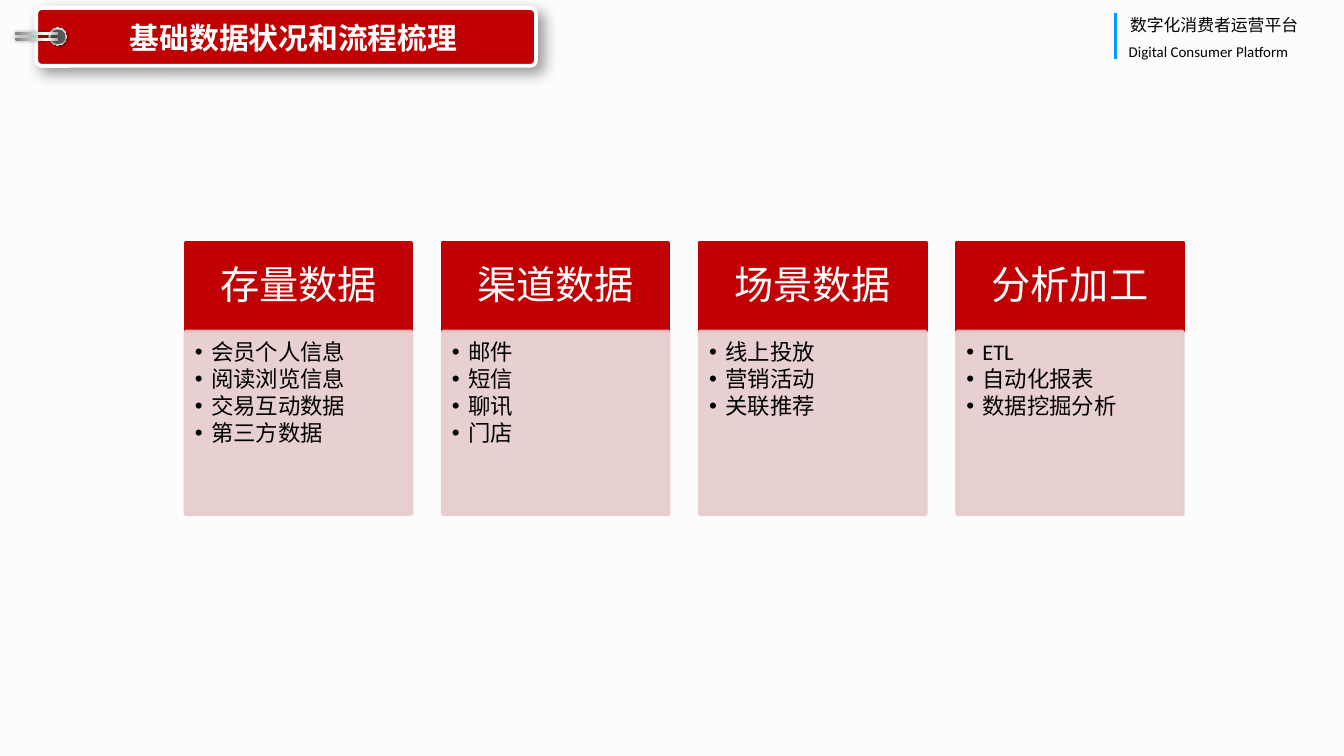
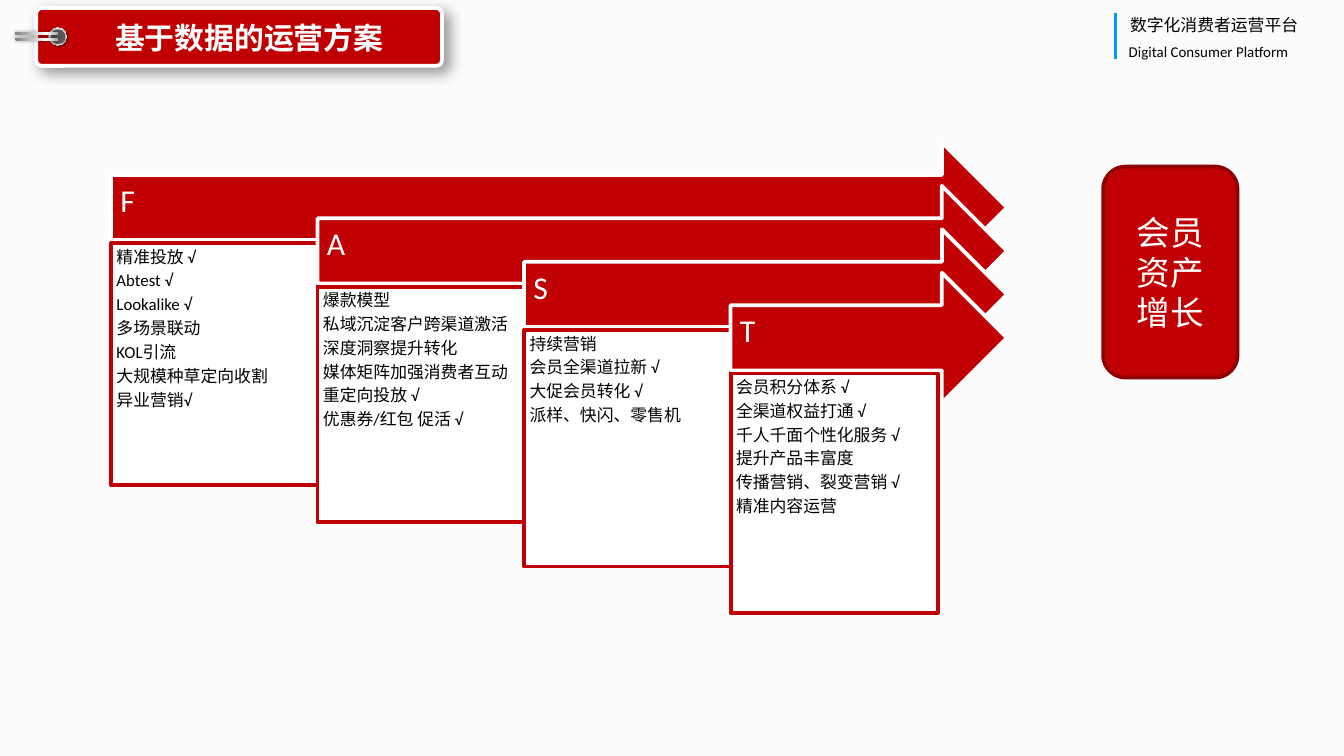
from dataclasses import dataclass
from typing import Optional

from lxml import etree
from pptx import Presentation
from pptx.dml.color import RGBColor
from pptx.enum import shapes, text
from pptx.oxml.ns import qn
from pptx.util import Pt

HEX = {
    "back": "FCFCFC", "banner": "C00000", "red": "C00002", "deep": "8E0001",
    "pink": "E8CCCC", "white": "FFFFFF", "black": "000000", "blue": "0099FF",
    "hole": "595959",
}
SANS, CJK = "Calibri", "Noto Sans CJK SC"
RING = [(0, "FFFFFF"), (17, "A6A6A6"), (35, "F2F2F2"), (55, "A6A6A6"),
        (75, "F2F2F2"), (100, "A6A6A6")]
STEEL = [(0, "808080"), (23, "A6A6A6"), (52, "D9D9D9"), (74, "FFFFFF"),
         (100, "A6A6A6")]
KIND = shapes.MSO_SHAPE
MID, TOP = text.MSO_ANCHOR.MIDDLE, text.MSO_ANCHOR.TOP
LEFT, CENTER = text.PP_ALIGN.LEFT, text.PP_ALIGN.CENTER


@dataclass
class Box:
    x: float
    y: float
    w: float
    h: float

    def pts(self) -> tuple:
        return Pt(self.x), Pt(self.y), Pt(self.w), Pt(self.h)


@dataclass
class Style:
    size: float
    color: str = "black"
    font: str = SANS
    bold: bool = False
    align: int = LEFT
    anchor: int = TOP
    pad: tuple = (7.2, 3.6, 7.2, 3.6)
    line: float = 1
    after: float = 0
    bullet: bool = False


@dataclass
class Group:
    head: str
    items: list
    high: float = 97.92


TITLE = Style(16, "white", CJK, True, CENTER, MID, (5, 2.9, 5, 2.9))
HEAD = Style(21, "white", align=CENTER, anchor=MID, pad=(11.5, 6.5, 11.5, 6.5), line=0.9)
LIST = Style(12, pad=(5, 5, 6.5, 7.2), line=0.9, after=1.5, bullet=True)
STEP = Style(17, "white", anchor=MID, pad=(5, 5, 20, 10.8), line=0.9)
NOTE = Style(9, pad=(2.9, 2.9, 2.9, 2.9), line=0.9, after=3)
GOAL = Style(18, "white", align=CENTER, anchor=MID)

DATA = [
    Group("存量数据", ["会员个人信息", "阅读浏览信息", "交易互动数据", "第三方数据"]),
    Group("渠道数据", ["邮件", "短信", "聊讯", "门店"]),
    Group("场景数据", ["线上投放", "营销活动", "关联推荐"]),
    Group("分析加工", ["ETL", "自动化报表", "数据挖掘分析"]),
]
FAST = [
    Group("F", ["精准投放 √", "Abtest √", "Lookalike √", "多场景联动", "KOL引流",
                "大规模种草定向收割", "异业营销√"], 129.6),
    Group("A", ["爆款模型", "私域沉淀客户跨渠道激活", "深度洞察提升转化",
                "媒体矩阵加强消费者互动", "重定向投放 √", "优惠券/红包 促活 √"], 126),
    Group("S", ["持续营销", "会员全渠道拉新 √", "大促会员转化 √", "派样、快闪、零售机"], 126.7),
    Group("T", ["会员积分体系 √", "全渠道权益打通 √", "千人千面个性化服务 √",
                "提升产品丰富度", "传播营销、裂变营销 √", "精准内容运营"], 128.2),
]


def rgb(name: str) -> RGBColor:
    return RGBColor.from_string(HEX[name])


def node(up, tag: str, **attrs):
    return etree.SubElement(up, qn(tag), {k: str(v) for k, v in attrs.items()})


def write(shape, lines: list, style: Style) -> None:
    frame = shape.text_frame
    frame.text = "\n".join(lines)
    frame.word_wrap = True
    frame.auto_size = text.MSO_AUTO_SIZE.NONE
    frame.vertical_anchor = style.anchor
    (frame.margin_left, frame.margin_top,
     frame.margin_right, frame.margin_bottom) = map(Pt, style.pad)
    for par in frame.paragraphs:
        par.alignment = style.align
        par.line_spacing = style.line
        par.space_before, par.space_after = Pt(0), Pt(style.after)
        props = par._p.get_or_add_pPr()
        dent = Pt(8.64) if style.bullet else 0
        props.set("marL", str(dent))
        props.set("indent", str(-dent))
        if style.bullet:
            node(props, "a:buChar", char="•")
        else:
            node(props, "a:buNone")
        for run in par.runs:
            font = run.font
            font.size, font.bold, font.name = Pt(style.size), style.bold, style.font
            font.color.rgb = rgb(style.color)
            node(run._r.get_or_add_rPr(), "a:ea", typeface=style.font)


def paint(shape, fill: str, line: Optional[str] = None) -> None:
    shape.fill.solid()
    shape.fill.fore_color.rgb = rgb(fill)
    if line:
        shape.line.color.rgb = rgb(line)
        shape.line.width = Pt(2)
    else:
        shape.line.fill.background()


def draw(slide, kind, box: Box, fill: str, line: Optional[str] = None):
    shape = slide.shapes.add_shape(kind, *box.pts())
    shape.shadow.inherit = False
    paint(shape, fill, line)
    return shape


def shade(shape, blur: float, dist: float, angle: int) -> None:
    """Add an outer shadow of 40% black."""
    spot = shape.element.spPr.find(qn("a:effectLst"))
    cast = node(spot, "a:outerShdw", blurRad=Pt(blur), dist=Pt(dist),
                dir=angle * 60000, algn="ctr", rotWithShape=0)
    node(node(cast, "a:srgbClr", val=HEX["black"]), "a:alpha", val=40000)


def blend(shape, stops: list, angle: int) -> None:
    """Fill with a linear gradient of many stops."""
    shape.fill.gradient()
    shape.fill.gradient_angle = 360 - angle
    lst = shape.element.spPr.find(".//" + qn("a:gsLst"))
    lst.clear()
    for pos, color in stops:
        node(node(lst, "a:gs", pos=pos * 1000), "a:srgbClr", val=color)


def fade(shape, part: int) -> None:
    """Set the opacity of fill and line, in percent."""
    for color in shape.element.spPr.iter(qn("a:srgbClr")):
        node(color, "a:alpha", val=part * 1000)


def place(holder, box: Box, lines: list, style: Style) -> None:
    """Move a placeholder to the box, in front of all else, and fill it."""
    holder.left, holder.top, holder.width, holder.height = box.pts()
    holder.element.getparent().append(holder.element)
    write(holder, lines, style)


def brand(slide) -> None:
    rule = slide.shapes.add_connector(shapes.MSO_CONNECTOR.STRAIGHT,
                                      Pt(597.6), Pt(7.2), Pt(597.6), Pt(31.7))
    rule.line.color.rgb = rgb("blue")
    rule.line.width = Pt(1.5)
    node(rule.element.spPr, "a:effectLst")
    for words, box, size in [
        ("数字化消费者运营平台", Box(598.3, 4.3, 112.3, 18), 9),
        ("Digital Consumer Platform", Box(597.6, 19.4, 113, 17.3), 8),
    ]:
        write(slide.shapes.add_textbox(*box.pts()), [words],
              Style(size, align=text.PP_ALIGN.JUSTIFY))


def tag(slide, words: str, wide: float, room: float) -> None:
    """Draw the title as a label held by a steel pin."""
    label = draw(slide, KIND.ROUNDED_RECTANGLE, Box(19.4, 4.3, wide, 31), "banner", "white")
    label.adjustments[0] = 0.1
    shade(label, 8, 4, 45)
    ring = draw(slide, KIND.OVAL, Box(26.2, 14.9, 9.4, 9.4), "white")
    blend(ring, RING, 45)
    shade(ring, 1, 1, 45)
    hole = draw(slide, KIND.OVAL, Box(27.2, 15.7, 8, 8), "hole")
    ring.rotation = hole.rotation = 270
    place(slide.shapes.title, Box(36.7, 7.5, room, 25), [words], TITLE)
    for y in (9.4, 6.5):
        pin = draw(slide, KIND.ROUNDED_RECTANGLE, Box(18.7, y, 1.6, 23), "white")
        pin.adjustments[0] = 0.5
        pin.rotation = 270
        blend(pin, STEEL, 90)
        shade(pin, 2, 0, 0)


def start(deck, words: str, wide: float, room: float) -> tuple:
    """Add a slide with the shared header; return it and its four list holders."""
    slide = deck.slides.add_slide(deck.slide_layouts.get_by_name("Comparison"))
    lists = [p for p in slide.placeholders if p.placeholder_format.idx]
    brand(slide)
    tag(slide, words, wide, room)
    return slide, lists


def sources(deck) -> None:
    slide, lists = start(deck, "基础数据状况和流程梳理", 267.8, 241.2)
    for i, (group, holder) in enumerate(zip(DATA, lists)):
        x = 99.4 + 137.76 * i
        head = draw(slide, KIND.RECTANGLE, Box(x, 129.9, 121, 47.5), "red", "red")
        write(head, [group.head], HEAD)
        paint(holder, "pink", "pink")
        fade(holder, 90)
        place(holder, Box(x, 177.6, 121, group.high), group.items, LIST)


def plan(deck) -> None:
    slide, lists = start(deck, "基于数据的运营方案", 217.4, 193.7)
    for i, (group, holder) in enumerate(zip(FAST, lists)):
        x, y = 59.5 + 110.64 * i, 76.3 + 23.28 * i
        arrow = draw(slide, KIND.RIGHT_ARROW, Box(x, y, 539.5 - x, 69.8), "red", "white")
        write(arrow, [group.head], STEP)
        paint(holder, "white", "red")
        place(holder, Box(x, y + 54, 111, group.high), group.items, NOTE)
    goal = draw(slide, KIND.ROUNDED_RECTANGLE, Box(591, 89.3, 72, 113), "red", "deep")
    write(goal, ["会员资产增长"], GOAL)


def main() -> None:
    deck = Presentation()
    deck.slide_width, deck.slide_height = Pt(720), Pt(405)
    back = deck.slide_master.background.fill
    back.solid()
    back.fore_color.rgb = rgb("back")
    sources(deck)
    plan(deck)
    deck.save("out.pptx")


if __name__ == "__main__":
    main()
